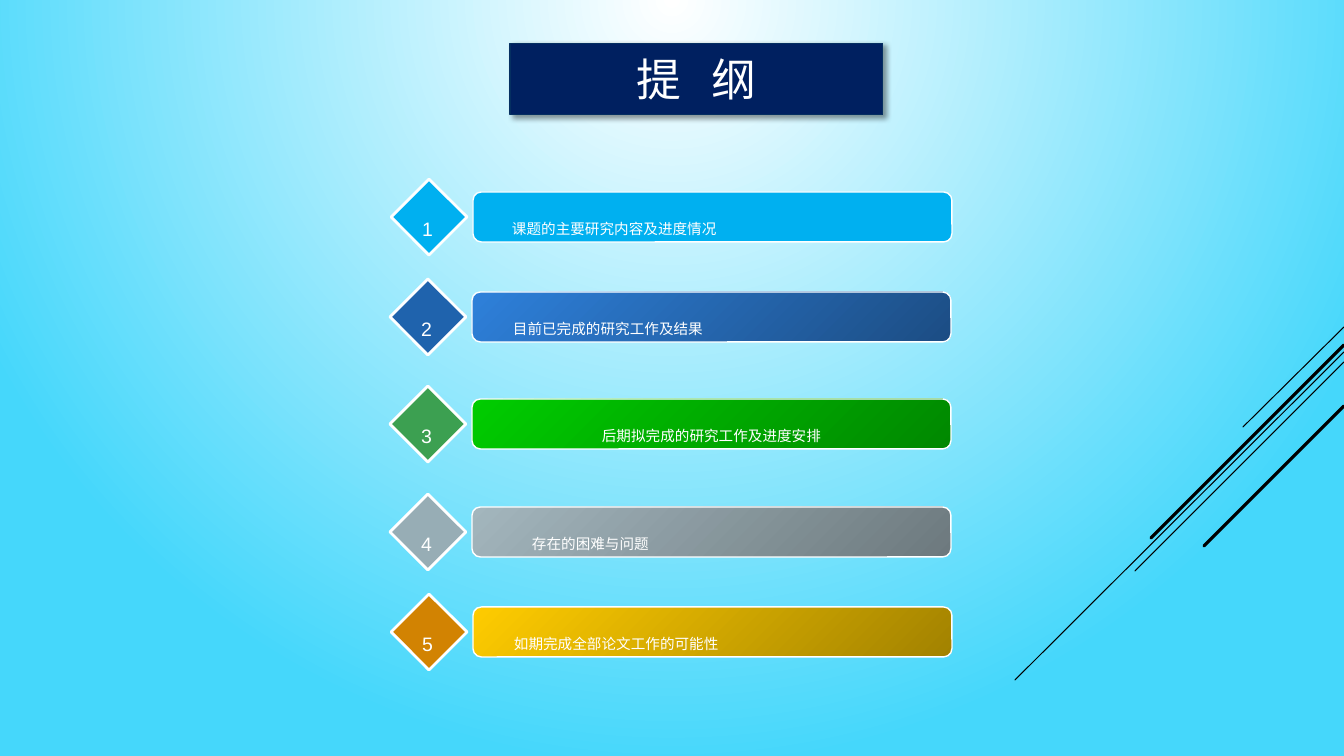
from lxml.etree import SubElement
from pptx import Presentation
from pptx.dml.color import RGBColor
from pptx.enum.shapes import MSO_CONNECTOR, MSO_SHAPE
from pptx.enum.text import MSO_ANCHOR, PP_ALIGN
from pptx.oxml.ns import qn
from pptx.util import Pt

EMU_PER_PX = 12192000 / 1344
WHITE = "FFFFFF"
CJK_FONT = "Noto Sans CJK SC"

# bar left, bar top, diamond colour, bar colours, label, label indent, alignment
TOPICS = [
    (473, 192, "00B0F0", ["00B0F0"], "课题的主要研究内容及进度情况", 4, PP_ALIGN.LEFT),
    (472, 292, "1F63AD", ["2E80DA", "1C4D84"], "目前已完成的研究工作及结果", 6, PP_ALIGN.LEFT),
    (472, 399, "3CA051", ["00CC00", "008800"], "后期拟完成的研究工作及进度安排", 0, PP_ALIGN.CENTER),
    (472, 507, "97ADB5", ["A3B6BD", "6D797E"], "存在的困难与问题", 25, PP_ALIGN.LEFT),
    (473, 607, "D28302", ["FFCC00", "A28200"], "如期完成全部论文工作的可能性", 6, PP_ALIGN.LEFT),
]

# start y at the right edge, end x, end y, width in points
STRIPES = [
    (327, 1243, 427, 0.75),
    (352, 1015, 680, 0.75),
    (362, 1135, 571, 0.75),
    (345, 1151, 538, 2.25),
    (406, 1204, 546, 2.25),
]


def px(length):
    return round(length * EMU_PER_PX)


def rgb(colour):
    return RGBColor.from_string(colour)


def apply(target, values):
    for name, value in values.items():
        setattr(target, name, value)


def paint(fill, colours, angle=315):
    """Fill solid for one colour, with a gradient for two."""
    if len(colours) == 1:
        fill.solid()
        fill.fore_color.rgb = rgb(colours[0])
        return
    fill.gradient()
    fill.gradient_angle = angle
    for position, (stop, colour) in enumerate(zip(fill.gradient_stops, colours)):
        stop.position = position
        stop.color.rgb = rgb(colour)


def outline(shape, colour, points):
    shape.line.color.rgb = rgb(colour)
    shape.line.width = Pt(points)


def write(frame, text, font, size, align):
    paragraph = frame.paragraphs[0]
    paragraph.alignment = align
    run = paragraph.add_run()
    run.text = text
    apply(run.font, {"name": font, "size": Pt(size), "bold": False})
    run.font.color.rgb = rgb(WHITE)
    SubElement(run.font._element, qn("a:ea"), typeface=CJK_FONT)
    return run


def add_background(slide):
    paint(slide.background.fill, [WHITE, "45D7FB"])
    gradient = next(slide.element.iter(qn("a:gradFill")))
    gradient.remove(gradient.find(qn("a:lin")))
    glow = SubElement(gradient, qn("a:path"), path="circle")
    SubElement(glow, qn("a:fillToRect"), l="50000", r="50000", b="100000")


def add_stripe(slide, start_y, end_x, end_y, points):
    ends = [px(value) for value in (1344, start_y, end_x, end_y)]
    stripe = slide.shapes.add_connector(MSO_CONNECTOR.STRAIGHT, *ends)
    outline(stripe, "000000", points)
    stripe.line._get_or_add_ln().set("cap", "rnd")
    SubElement(stripe._element.spPr, qn("a:effectLst"))


def add_title(slide, text):
    title = slide.shapes.title
    apply(title, {"left": px(510), "top": px(43), "width": px(373), "height": px(72)})
    paint(title.fill, ["002060"])
    outline(title, "052F61", 0.75)
    title.text_frame.vertical_anchor = MSO_ANCHOR.MIDDLE
    write(title.text_frame, text, "Times New Roman", 32, PP_ALIGN.CENTER)
    effects = SubElement(title._element.spPr, qn("a:effectLst"))
    shadow = SubElement(effects, qn("a:outerShdw"), blurRad=str(Pt(4)),
                        dist=str(Pt(3)), dir="2700000", algn="tl", rotWithShape="0")
    black = SubElement(shadow, qn("a:srgbClr"), val="000000")
    SubElement(black, qn("a:alpha"), val="40000")


def add_panel(slide, kind, box, colours, points):
    panel = slide.shapes.add_shape(kind, *map(px, box))
    panel.shadow.inherit = False
    paint(panel.fill, colours)
    outline(panel, WHITE, points)


def add_lowered_text(slide, box, text, font, size, align, wrap, indent=0):
    """Text box whose run is set as subscript."""
    frame = slide.shapes.add_textbox(*map(px, box)).text_frame
    apply(frame, {"word_wrap": wrap, "margin_left": px(10 + indent)})
    run = write(frame, text, font, size, align)
    run.font._element.set("baseline", "-25000")


def add_topic(slide, number, left, top, diamond, bar, label, indent, align):
    add_panel(slide, MSO_SHAPE.ROUNDED_RECTANGLE, (left, top, 479, 50), bar, 1)
    add_panel(slide, MSO_SHAPE.DIAMOND, (left - 82, top - 13, 76, 76), [diamond], 2)
    add_lowered_text(slide, (left - 65, top - 2, 39, 50), str(number),
                     "Arial", 24, PP_ALIGN.CENTER, False)
    add_lowered_text(slide, (left + 25, top + 6, 429, 40), label,
                     CJK_FONT, 18, align, True, indent)


def main():
    presentation = Presentation()
    apply(presentation, {"slide_width": px(1344), "slide_height": px(756)})
    slide = presentation.slides.add_slide(presentation.slide_layouts[5])
    add_background(slide)
    for stripe in STRIPES:
        add_stripe(slide, *stripe)
    add_title(slide, "提   纲")
    for number, topic in enumerate(TOPICS, 1):
        add_topic(slide, number, *topic)
    presentation.save("out.pptx")


if __name__ == "__main__":
    main()
